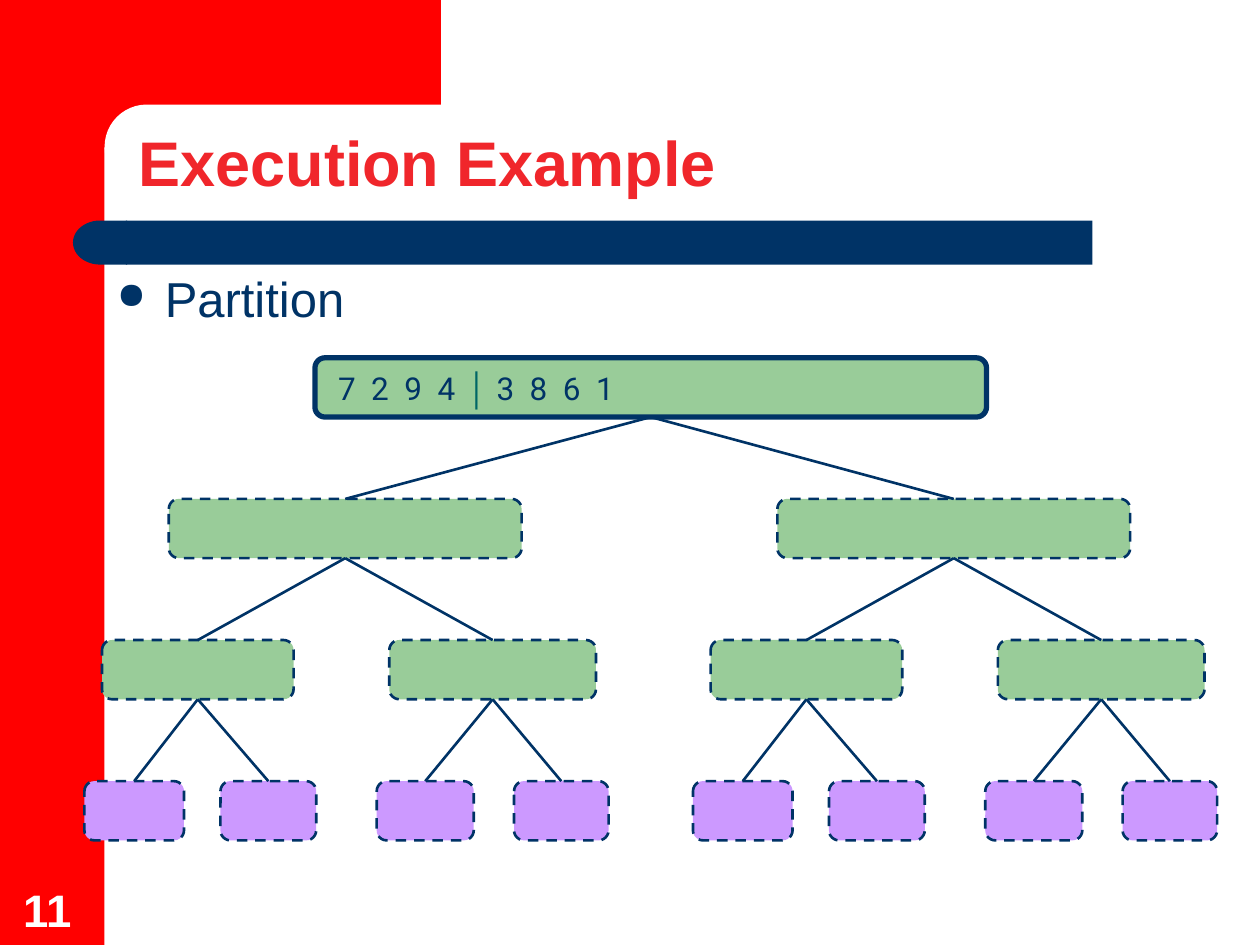
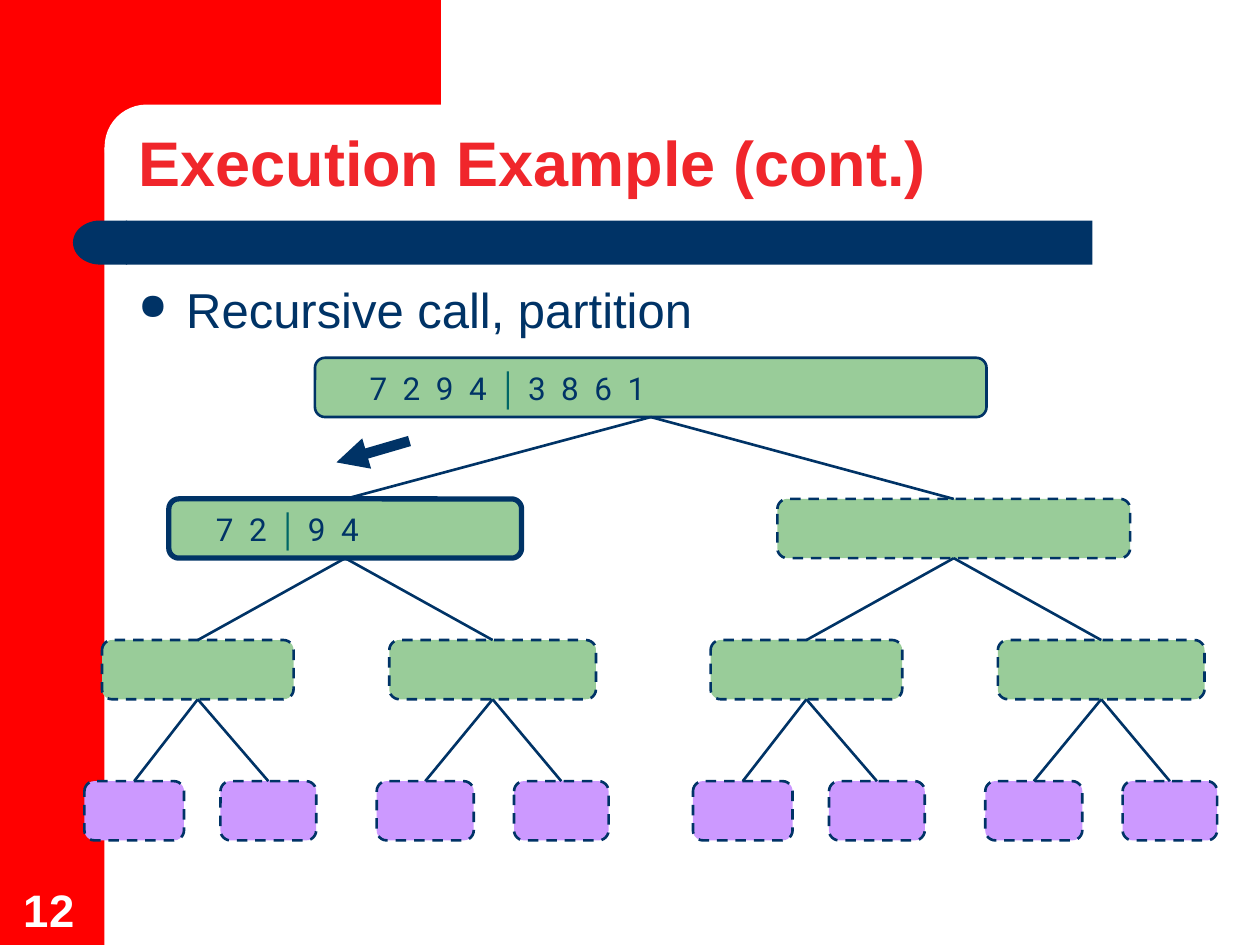
from lxml.etree import SubElement
from pptx import Presentation
from pptx.dml.color import RGBColor
from pptx.enum.dml import MSO_LINE
from pptx.enum.shapes import MSO_CONNECTOR, MSO_SHAPE
from pptx.enum.text import MSO_ANCHOR, MSO_AUTO_SIZE, PP_ALIGN
from pptx.oxml.ns import qn
from pptx.util import Inches, Pt

COLORS = {"red": "FF0000", "title": "F0262B", "navy": "003366", "white": "FFFFFF",
          "green": "99CC99", "violet": "CC99FF", "teal": "006666"}

# Content: each filled node is keyed by (level, index)
SLIDES = [
    {"title": "Execution Example", "number": "11",
     "bullet": "Partition", "bullet_at": (0.83, 2.08),
     "filled": {(0, 0): {"halves": ("7 2 9 4", "3 8 6 1"), "inset": 0.16, "line": 3}},
     "arrows": []},
    {"title": "Execution Example (cont.)", "number": "12",
     "bullet": "Recursive call, partition", "bullet_at": (1, 2.17),
     "filled": {(0, 0): {"halves": ("7 2 9 4", "3 8 6 1"), "inset": 0.41, "line": 1.5},
                (1, 0): {"halves": ("7 2", "9 4"), "inset": 0.35, "line": 3}},
     "arrows": [(3.25, 3.5, 2.67, 3.67)]},
]

# Tree: (left, width) of each node; the right half repeats the left one, shifted
ROOT = (2.5, 5.33)
LEFT_HALF = [[(1.34, 2.8)],
             [(0.81, 1.52), (3.09, 1.64)],
             [(0.67, 0.79), (1.75, 0.76), (2.99, 0.77), (4.08, 0.75)]]
HALF_SHIFT = 4.83
LEVELS = [[ROOT]] + [half + [(left + HALF_SHIFT, width) for left, width in half]
                     for half in LEFT_HALF]
TOP, LEVEL_STEP, NODE_HEIGHT = 2.84, 1.12, 0.47
LEVEL_FILLS = ["green", "green", "green", "violet"]
TITLE_AT = (1, 1, 8.75, 0.64)
NUMBER_AT = (0.09, 6.94, 0.64, 0.54)

# Background bands: shape, position, fill, corner, mirrored
BANDS = [
    (MSO_SHAPE.RECTANGLE, (0, 0, 0.83, 7.5), "red", None, False),
    (MSO_SHAPE.RECTANGLE, (0.75, 0, 2.75, 1.17), "red", None, False),
    (MSO_SHAPE.ROUNDED_RECTANGLE, (0.83, 0.83, 5.58, 0.67), "white", 0.5, False),
    (MSO_SHAPE.RECTANGLE, (1, 1.75, 7.67, 0.35), "navy", None, False),
    (MSO_SHAPE.FLOWCHART_DELAY, (0.58, 1.75, 0.43, 0.35), "navy", None, True),
]

TITLE_FONT = {"size": 36, "color": "title", "bold": True}
NUMBER_FONT = {"size": 26, "color": "white", "bold": True}
BULLET_FONT = {"size": 28, "color": "navy"}
NODE_FONT = {"size": 18, "color": "navy", "name": "Roboto"}
BAR_FONT = {"size": 18, "color": "teal", "bold": True}
DIGIT_SPACING = "220"


def rgb(color):
    return RGBColor.from_string(COLORS[color])


def inches(values):
    return [Inches(value) for value in values]


def add_span(para, text, size, color, name="Arial", bold=False):
    span = para.add_run()
    span.text = text
    for key, value in {"size": Pt(size), "name": name, "bold": bold}.items():
        setattr(span.font, key, value)
    span.font.color.rgb = rgb(color)
    return span


def set_frame(box, **formats):
    frame = box.text_frame
    for key, value in {"auto_size": MSO_AUTO_SIZE.NONE, **formats}.items():
        setattr(frame, key, value)
    return frame.paragraphs[0]


def add_filled(page, kind, place, fill, corner=None):
    shape = page.shapes.add_shape(kind, *inches(place))
    shape.shadow.inherit = False
    shape.fill.solid()
    shape.fill.fore_color.rgb = rgb(fill)
    if corner is not None:
        shape.adjustments[0] = corner
    return shape


def add_line(page, ends=(0, 0, 0, 0), width=1.5):
    line = page.shapes.add_connector(MSO_CONNECTOR.STRAIGHT, *inches(ends))
    line.line.color.rgb = rgb("navy")
    line.line.width = Pt(width)
    SubElement(line.element.spPr, qn("a:effectLst"))
    return line


def move_bands_to_layout(page):
    """Draw the bands once and hand them to the layout, behind its placeholders."""
    tree = page.slide_layout.shapes.element
    for position, (kind, place, fill, corner, mirrored) in enumerate(BANDS, 2):
        band = add_filled(page, kind, place, fill, corner)
        band.line.fill.background()
        if mirrored:
            band.element.spPr.find(qn("a:xfrm")).set("flipH", "1")
        tree.insert(position, band.element)


def add_heading(page, content):
    # Title
    title = page.shapes.title
    for key, value in zip(("left", "top", "width", "height"), inches(TITLE_AT)):
        setattr(title, key, value)
    para = set_frame(title, vertical_anchor=MSO_ANCHOR.BOTTOM, word_wrap=True)
    para.alignment, para.line_spacing = PP_ALIGN.LEFT, 0.9
    add_span(para, content["title"], **TITLE_FONT)

    # Slide number
    box = page.shapes.add_textbox(*inches(NUMBER_AT))
    para = set_frame(box, vertical_anchor=MSO_ANCHOR.BOTTOM, word_wrap=False)
    add_span(para, content["number"], **NUMBER_FONT)

    # Bullet
    box = page.shapes.add_textbox(*inches((*content["bullet_at"], 8.5, 0.57)))
    para = set_frame(box, word_wrap=True)
    add_span(para, content["bullet"], **BULLET_FONT)
    para.space_before = Pt(7)
    props = para._p.get_or_add_pPr()
    props.set("marL", str(Inches(0.38)))
    props.set("indent", str(Inches(-0.38)))
    color = SubElement(props, qn("a:buClr"))
    SubElement(color, qn("a:srgbClr"), val=COLORS["navy"])
    SubElement(props, qn("a:buSzPct"), val="75000")
    SubElement(props, qn("a:buChar"), char="●")


def add_node(page, level, index, filled):
    left, width = LEVELS[level][index]
    place = (left, TOP + level * LEVEL_STEP, width, NODE_HEIGHT)
    node = add_filled(page, MSO_SHAPE.ROUNDED_RECTANGLE, place, LEVEL_FILLS[level], 0.17)
    node.line.color.rgb = rgb("navy")
    node.line.width = Pt(filled["line"] if filled else 1.5)
    if not filled:
        node.line.dash_style = MSO_LINE.DASH
        return node
    para = set_frame(node, vertical_anchor=MSO_ANCHOR.MIDDLE, word_wrap=False,
                     margin_left=Inches(filled["inset"]))
    para.alignment = PP_ALIGN.LEFT
    before, after = filled["halves"]
    for text, font in ((before, NODE_FONT), (" │ ", BAR_FONT), (after, NODE_FONT)):
        span = add_span(para, text, **font)
        if font is NODE_FONT:
            span.font._element.set("spc", DIGIT_SPACING)
    return node


def add_tree(page, filled):
    parents = []
    for level, row in enumerate(LEVELS):
        nodes = [add_node(page, level, index, filled.get((level, index)))
                 for index in range(len(row))]
        if parents:
            for index, node in enumerate(nodes):
                line = add_line(page)
                line.begin_connect(parents[index // 2], 2)
                line.end_connect(node, 0)
        parents = nodes


def main():
    deck = Presentation()
    deck.slide_width, deck.slide_height = Inches(10), Inches(7.5)
    layout = deck.slide_layouts[5]
    for number, content in enumerate(SLIDES):
        page = deck.slides.add_slide(layout)
        if number == 0:
            move_bands_to_layout(page)
        add_heading(page, content)
        add_tree(page, content["filled"])
        for ends in content["arrows"]:
            arrow = add_line(page, ends, 6)
            SubElement(arrow.line._get_or_add_ln(), qn("a:tailEnd"), type="triangle")
    deck.save("out.pptx")


if __name__ == "__main__":
    main()
